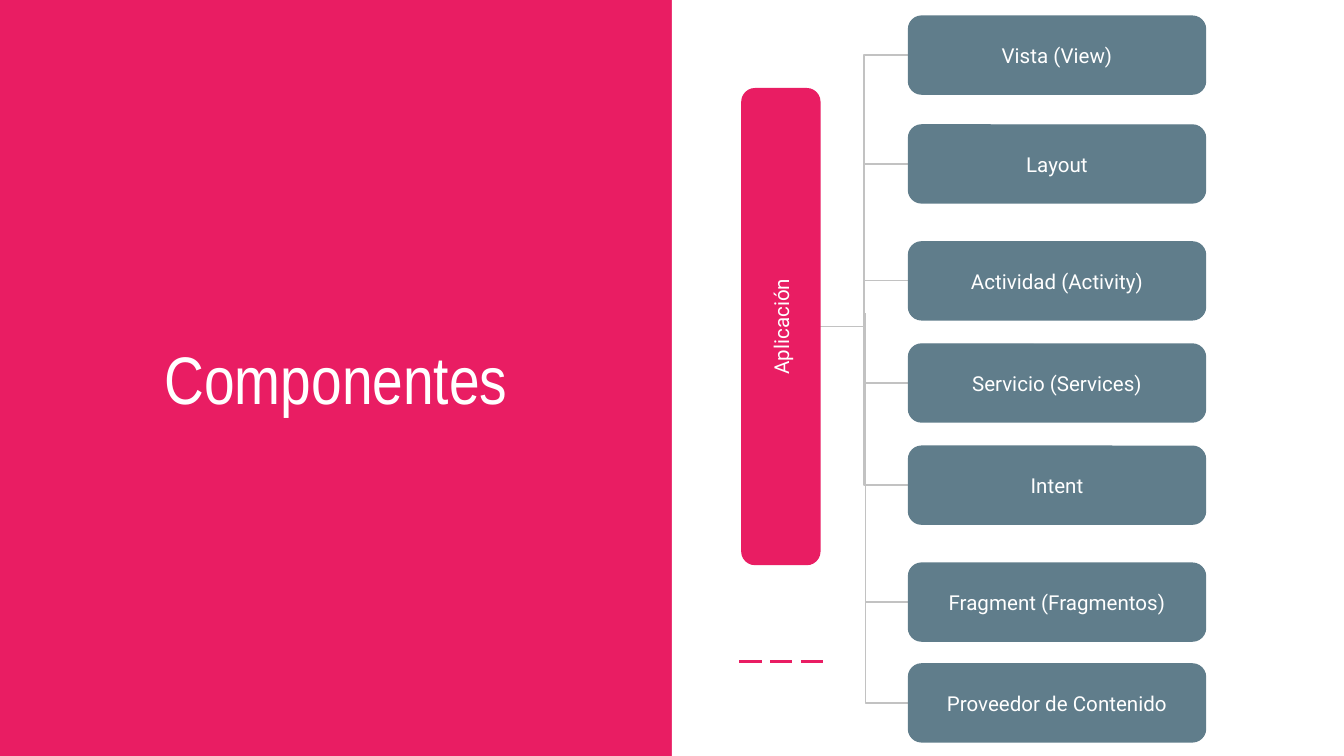
from lxml import etree
from pptx import Presentation
from pptx.dml.color import RGBColor
from pptx.enum.dml import MSO_LINE
from pptx.enum.shapes import MSO_CONNECTOR, MSO_SHAPE
from pptx.enum.text import MSO_ANCHOR, PP_ALIGN
from pptx.oxml.ns import qn
from pptx.util import Inches, Pt

ELBOW, STRAIGHT = MSO_CONNECTOR.ELBOW, MSO_CONNECTOR.STRAIGHT
RECTANGLE, ROUNDED = MSO_SHAPE.RECTANGLE, MSO_SHAPE.ROUNDED_RECTANGLE
LONG_DASH = MSO_LINE.LONG_DASH
MIDDLE, CENTER = MSO_ANCHOR.MIDDLE, PP_ALIGN.CENTER

PINK, SLATE, GREY, WHITE = "E91D63", "607D8B", "C2C2C2", "FFFFFF"
WIDTH = 10
HEIGHT = WIDTH * 9 / 16
NODE_HEIGHT = 0.58
BRANCH_DROP = 2.15  # height of the branches that leave the trunk

# label, distance from the top of the tree, whether it hangs from the trunk
COMPONENTS = [
    ("Vista (View)", 0, False),
    ("Layout", 0.81, False),
    ("Actividad (Activity)", 1.68, False),
    ("Servicio (Services)", 2.44, False),
    ("Intent", 3.2, False),
    ("Fragment (Fragmentos)", 4.07, True),
    ("Proveedor de Contenido", 4.82, True),
]


def color(code):
    return RGBColor.from_string(code)


def write_text(box, text, size, font):
    frame = box.text_frame
    frame.word_wrap = True
    frame.vertical_anchor = MIDDLE
    frame.margin_left = frame.margin_right = Inches(0.1)
    frame.margin_top = frame.margin_bottom = Inches(0.1)
    para = frame.paragraphs[0]
    para.alignment = CENTER
    span = para.add_run()
    span.text = text
    span.font.size = Pt(size)
    span.font.name = font
    span.font.color.rgb = color(WHITE)


def add_line(page, kind, start, end, line_color, weight):
    line = page.shapes.add_connector(kind, *map(Inches, (*start, *end)))
    line.line.color.rgb = color(line_color)
    line.line.width = Pt(weight)
    etree.SubElement(line._element.spPr, qn("a:effectLst"))
    return line


def add_node(page, left, top, width, text, fill, rotation=0):
    node = page.shapes.add_shape(
        ROUNDED, *map(Inches, (left, top, width, NODE_HEIGHT)))
    node.shadow.inherit = False
    node.adjustments[0] = 0.167
    node.rotation = rotation
    node.fill.solid()
    node.fill.fore_color.rgb = color(fill)
    node.line.color.rgb = color(fill)
    node.line.width = Pt(0.75)
    write_text(node, text, 11, "Roboto")


def add_title_panel(page, left, top, width, height):
    page.background.fill.solid()
    page.background.fill.fore_color.rgb = color(PINK)
    title = page.shapes.add_textbox(
        Inches(left + 0.29), Inches(top + 1.99),
        Inches(width - 0.58), Inches(height - 3.98))
    write_text(title, "Componentes", 36, "Arial Narrow")


def add_white_panel(page, left, top, width, height):
    panel = page.shapes.add_shape(
        RECTANGLE, *map(Inches, (left, top, width, height)))
    panel.shadow.inherit = False
    panel.fill.solid()
    panel.fill.fore_color.rgb = color(WHITE)
    panel.line.fill.background()
    rule_y = top + 4.92
    rule = add_line(page, STRAIGHT, (left + 0.5, rule_y),
                    (left + 1.13, rule_y), PINK, 1.5)
    rule.line.dash_style = LONG_DASH


def add_component_tree(page, left, top, width):
    """Root on its side at the left, one branch and node per component."""
    root_length = 3.54
    root_right = left + NODE_HEIGHT
    root_middle = top + 2.31
    nodes_left = left + 1.24
    trunk_x = left + 0.92

    for label, offset, from_trunk in COMPONENTS:
        middle = top + offset + NODE_HEIGHT / 2
        joint = (nodes_left, middle)
        if from_trunk:
            branch = add_line(page, ELBOW, joint,
                              (trunk_x, middle - BRANCH_DROP), GREY, 0.75)
            branch._element.spPr.prstGeom.set("prst", "bentConnector2")
        else:
            add_line(page, ELBOW, (root_right, root_middle), joint, GREY, 0.75)

    add_node(page, left + (NODE_HEIGHT - root_length) / 2,
             root_middle - NODE_HEIGHT / 2, root_length,
             "Aplicación", PINK, rotation=270)
    for label, offset, from_trunk in COMPONENTS:
        add_node(page, nodes_left, top + offset,
                 left + width - nodes_left, label, SLATE)


def main():
    deck = Presentation()
    deck.slide_width, deck.slide_height = Inches(WIDTH), Inches(HEIGHT)
    page = deck.slides.add_slide(deck.slide_layouts[6])
    half = WIDTH / 2
    add_title_panel(page, 0, 0, half, HEIGHT)
    add_white_panel(page, half, 0, half, HEIGHT)
    add_component_tree(page, 5.52, 0.12, 3.45)
    deck.save("out.pptx")


if __name__ == "__main__":
    main()
